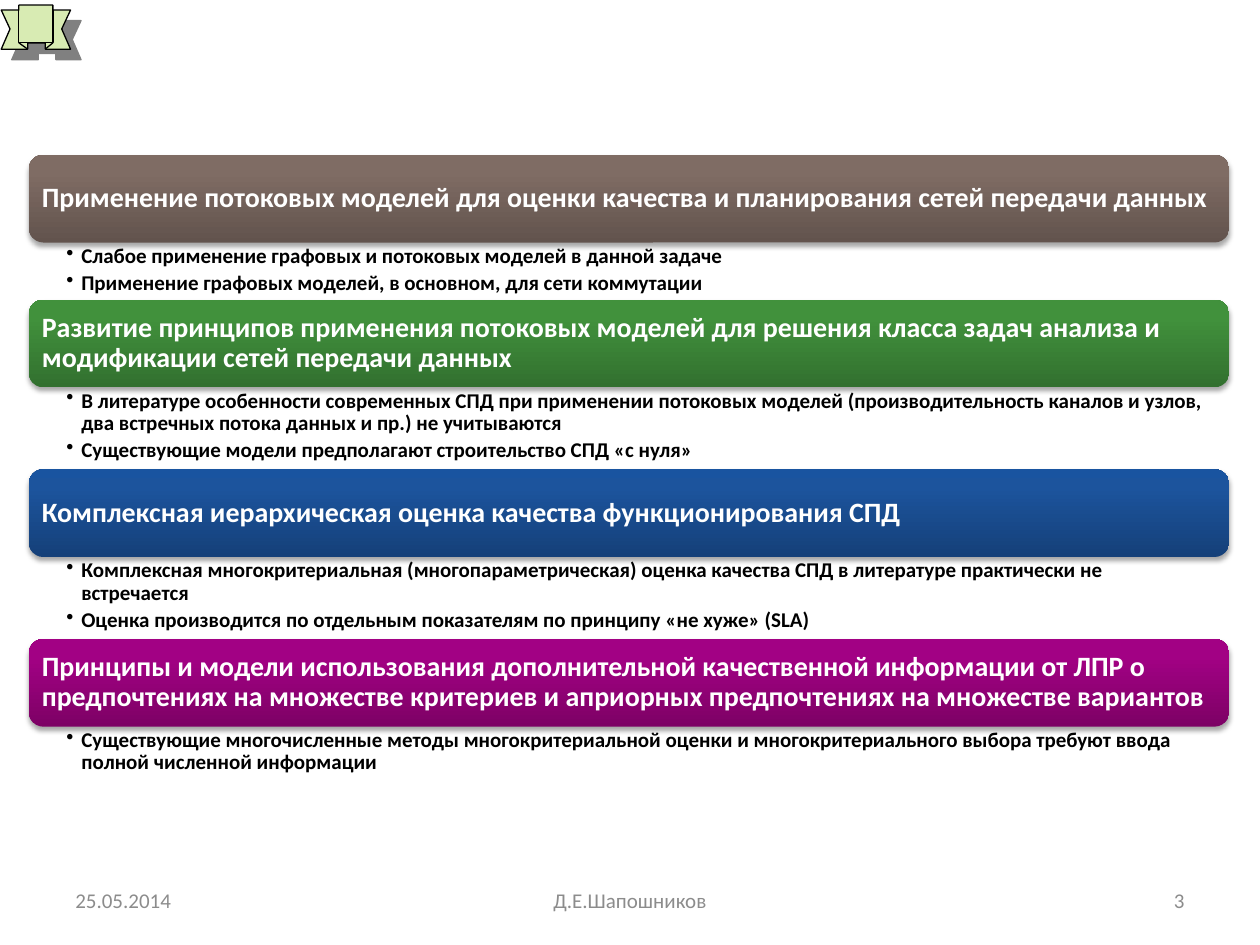
from copy import deepcopy

from lxml.etree import SubElement
from pptx import Presentation
from pptx.dml.color import RGBColor
from pptx.enum.shapes import MSO_SHAPE as Shape
from pptx.enum.text import MSO_ANCHOR as Anchor, PP_ALIGN as Align
from pptx.oxml.ns import qn
from pptx.util import Cm, Pt

FONT = "Calibri"
BAND_LEFT, BAND_WIDTH, BAND_HEIGHT = 0.58, 24.2, 1.77
FIRST_TOP = 3.12

SECTIONS = [
    ("Применение потоковых моделей для оценки качества и планирования сетей передачи данных",
     ("62534D", "7F6C64", "806D63"), 1.15,
     ["Слабое применение графовых и потоковых моделей в данной задаче",
      "Применение графовых моделей, в основном, для сети коммутации"]),
    ("Развитие принципов применения потоковых моделей для решения класса задач анализа "
     "и модификации сетей передачи данных",
     ("32702F", "41913C", "40933B"), 1.65,
     ["В литературе особенности современных СПД при применении потоковых моделей "
      "(производительность каналов и узлов, два встречных потока данных и пр.) не учитываются",
      "Существующие модели предполагают строительство СПД «с нуля»"]),
    ("Комплексная иерархическая оценка качества функционирования СПД",
     ("154079", "1C549D", "1954A0"), 1.65,
     ["Комплексная многокритериальная (многопараметрическая) оценка качества СПД "
      "в литературе практически не встречается",
      "Оценка производится по отдельным показателям по принципу «не хуже» (SLA)"]),
    ("Принципы и модели использования дополнительной качественной информации от ЛПР "
     "о предпочтениях на множестве критериев и априорных предпочтениях на множестве вариантов",
     ("7D0165", "A20184", "A40085"), 1.07,
     ["Существующие многочисленные методы многокритериальной оценки и "
      "многокритериального выбора требуют ввода полной численной информации"]),
]

FOOTERS = [
    ("25.05.2014", 1.27, 5.93, Align.LEFT),
    ("Д.Е.Шапошников", 8.68, 8.04, Align.CENTER),
    ("3", 18.2, 5.93, Align.RIGHT),
]

RIBBON_OUTLINE = [(1, 39), (22, 39), (22, 34), (36, 34), (36, 39), (56, 39), (49, 23),
                  (56, 8), (42, 8), (42, 4), (15, 4), (15, 8), (1, 8), (8, 23)]
RIBBON_FOLDS = [
    [(22, 34), (15, 34), (15, 8)],
    [(15, 34), (22, 39)],
    [(36, 34), (42, 34), (42, 8)],
    [(42, 34), (36, 39)],
]


def rgb(code):
    return RGBColor.from_string(code)


def format_paragraph(paragraph, size, color, bold=False, align=Align.LEFT):
    paragraph.alignment = align
    for run in paragraph.runs:
        run.font.name = FONT
        run.font.size = Pt(size)
        run.font.bold = bold
        run.font.color.rgb = rgb(color)


def set_insets(frame, left, top, right, bottom):
    frame.margin_left, frame.margin_top = Cm(left), Cm(top)
    frame.margin_right, frame.margin_bottom = Cm(right), Cm(bottom)


def add_shadow(shape, color, opacity, blur, distance, angle):
    shape.shadow.inherit = False
    effects = shape._element.spPr.find(qn("a:effectLst"))
    outer = SubElement(effects, qn("a:outerShdw"), blurRad=str(Pt(blur)), dist=str(Pt(distance)),
                       dir=str(angle * 60000), algn="ctr", rotWithShape="0")
    tint = SubElement(outer, qn("a:srgbClr"), val=color)
    SubElement(tint, qn("a:alpha"), val=str(opacity * 1000))


def fill_gradient(shape, colors):
    shape.fill.gradient()
    shape.fill.gradient_angle = 90
    stops = shape._element.spPr.find(".//" + qn("a:gsLst"))
    stops.append(deepcopy(stops[-1]))
    for stop, color, position in zip(shape.fill.gradient_stops, colors, (0, 0.8, 1)):
        stop.color.rgb = rgb(color)
        stop.position = position


def add_band(slide, heading, colors, top):
    band = slide.shapes.add_shape(Shape.ROUNDED_RECTANGLE, Cm(BAND_LEFT), Cm(top),
                                  Cm(BAND_WIDTH), Cm(BAND_HEIGHT))
    fill_gradient(band, colors)
    band.line.fill.background()
    add_shadow(band, "000000", 35, 3.1, 1.8, 90)
    frame = band.text_frame
    frame.word_wrap = True
    frame.vertical_anchor = Anchor.MIDDLE
    set_insets(frame, 0.18, 0.18, 0.18, 0.18)
    frame.text = heading
    frame.paragraphs[0].line_spacing = 0.9
    format_paragraph(frame.paragraphs[0], 16, "FFFFFF", bold=True)


def add_bullets(slide, points, top, height):
    frame = slide.shapes.add_textbox(Cm(BAND_LEFT), Cm(top), Cm(BAND_WIDTH), Cm(height)).text_frame
    frame.word_wrap = True
    set_insets(frame, 0.76, 0.05, 0.3, 0.05)
    frame.text = "\n".join(points)
    for paragraph in frame.paragraphs:
        paragraph.level = 1
        paragraph.line_spacing = 0.9
        paragraph.space_after = Pt(2.6)
        properties = paragraph._p.get_or_add_pPr()
        properties.set("marL", str(Cm(0.3)))
        properties.set("indent", str(Cm(-0.3)))
        SubElement(properties, qn("a:buChar"), char="•")
        format_paragraph(paragraph, 12, "000000", bold=True)


def add_footer(slide, text, left, width, align):
    frame = slide.shapes.add_textbox(Cm(left), Cm(17.65), Cm(width), Cm(1.01)).text_frame
    frame.word_wrap = True
    frame.vertical_anchor = Anchor.MIDDLE
    frame.text = text
    format_paragraph(frame.paragraphs[0], 12, "8C8C8C", align=align)


def add_outline(slide, contours, close):
    builder = slide.shapes.build_freeform(*contours[0][0], scale=Cm(0.0254))
    for number, (start, *rest) in enumerate(contours):
        if number:
            builder.move_to(*start)
        builder.add_line_segments(rest, close=close)
    outline = builder.convert_to_shape()
    outline.shadow.inherit = False
    outline.line.color.rgb = rgb("000000")
    outline.line.width = Pt(0.75)
    return outline


def add_ribbon(slide):
    ribbon = add_outline(slide, [RIBBON_OUTLINE], close=True)
    ribbon.fill.solid()
    ribbon.fill.fore_color.rgb = rgb("D8EBB3")
    add_shadow(ribbon, "808080", 100, 0, 8.5, 45)
    folds = add_outline(slide, RIBBON_FOLDS, close=False)
    folds.fill.background()


def main():
    deck = Presentation()
    deck.slide_width, deck.slide_height = Cm(25.4), Cm(19.05)
    slide = deck.slides.add_slide(deck.slide_layouts[6])
    add_ribbon(slide)
    top = FIRST_TOP
    for heading, colors, list_height, points in SECTIONS:
        add_band(slide, heading, colors, top)
        add_bullets(slide, points, top + BAND_HEIGHT, list_height)
        top += BAND_HEIGHT + list_height
    for footer in FOOTERS:
        add_footer(slide, *footer)
    deck.save("out.pptx")


if __name__ == "__main__":
    main()
